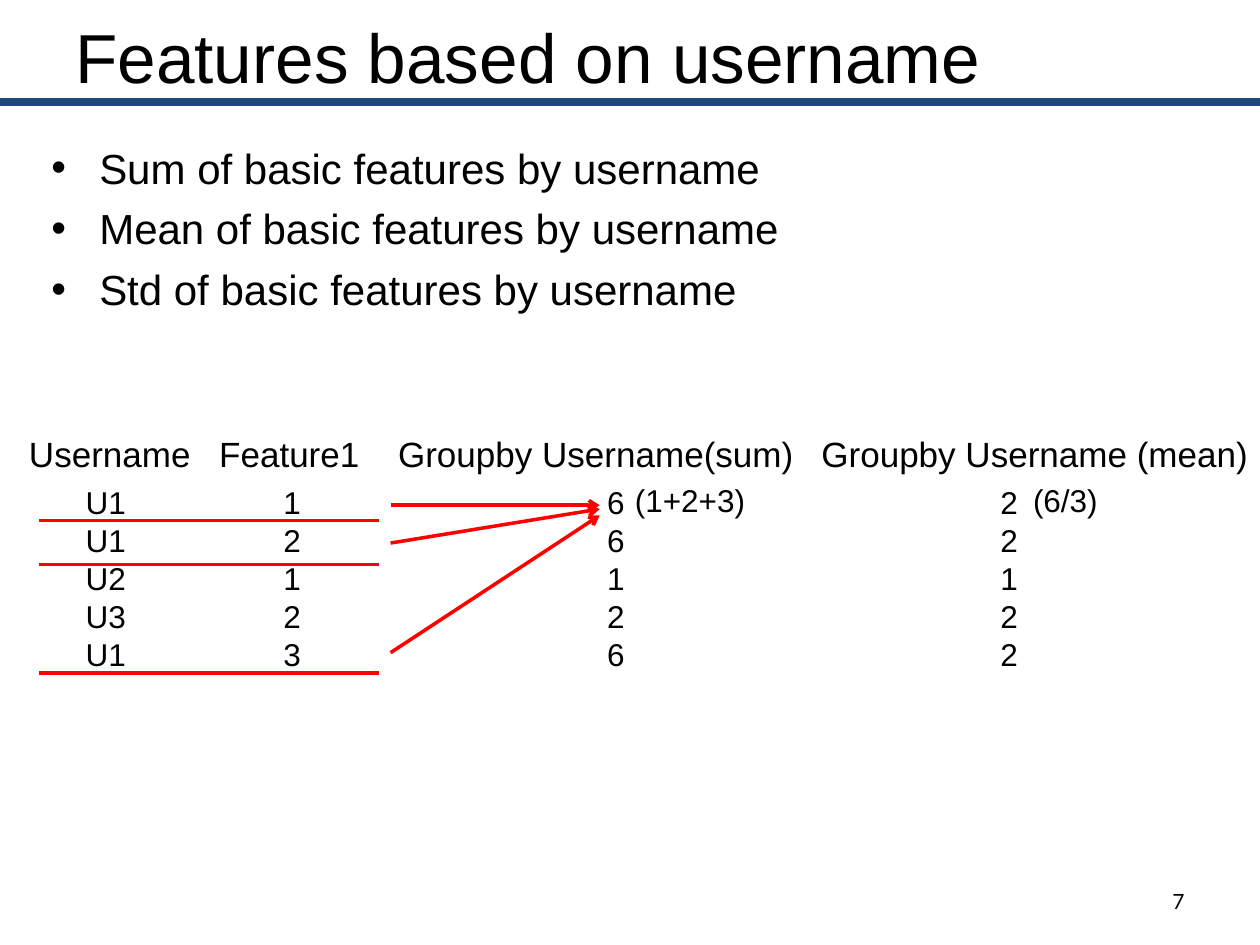
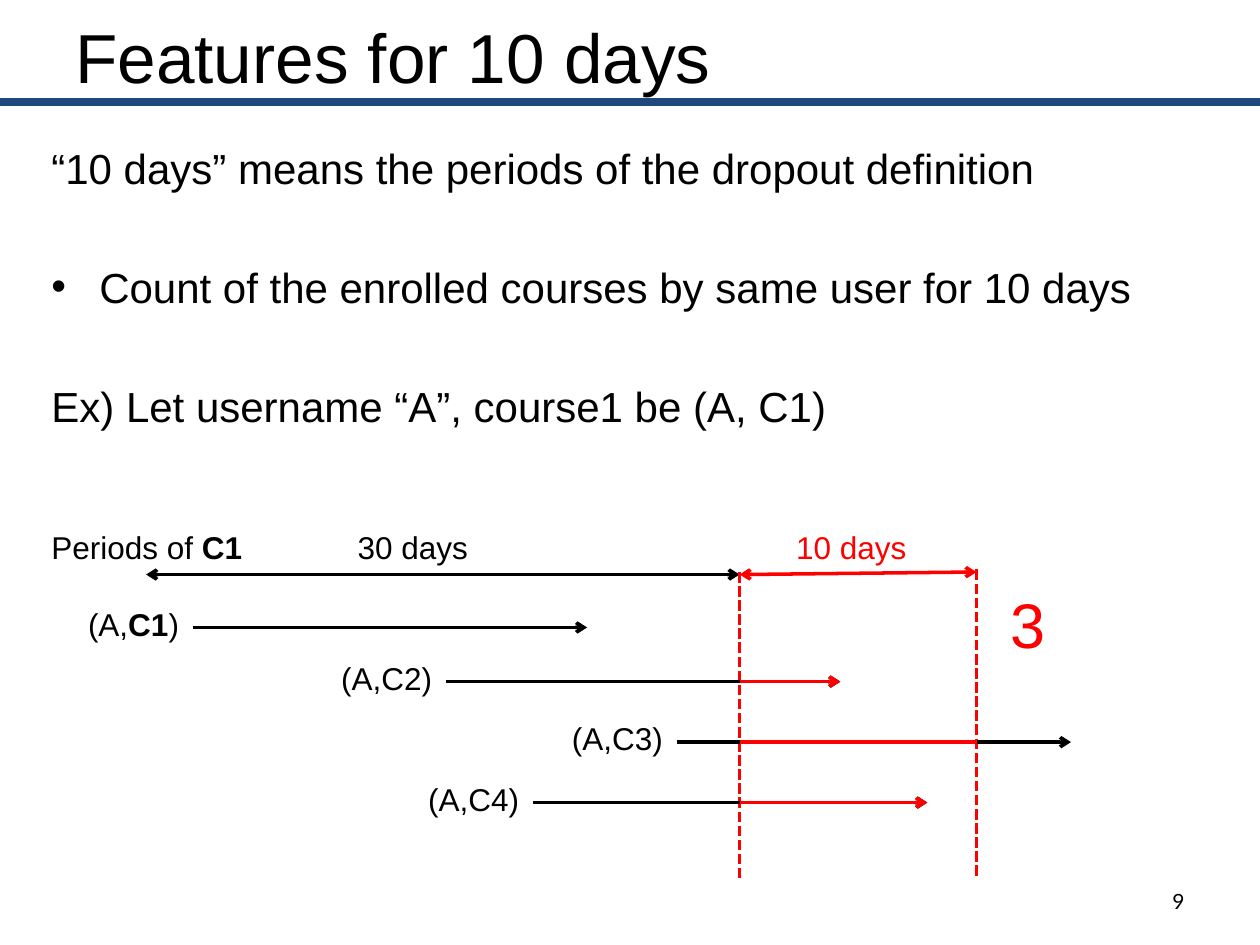
import pptx
import pptx.dml.color
import pptx.enum.dml
import pptx.enum.shapes
import pptx.enum.text
import pptx.oxml
import pptx.oxml.ns
import pptx.util
from pptx.util import Inches

BLACK, RED, NAVY, WHITE = "000000", "FF0000", "1F497D", "FFFFFF"
TITLE = {"size": 39.6}
BODY = {"size": 24}
HEADER = {"size": 20}
LABEL = {"size": 18}
RED_LABEL = {"size": 18, "color": RED}
RESULT = {"size": 36, "color": RED}
PAGE_NUMBER = {"size": 12, "name": "Lato"}
LABEL_HEIGHT = 0.4
BULLET_INDENT = 0.38


def rgb(color):
    return pptx.dml.color.RGBColor.from_string(color)


def format_font(font, style, bold=False):
    values = {"name": "Arial", "color": BLACK, "bold": bold, **style}
    font.color.rgb = rgb(values.pop("color"))
    values["size"] = pptx.util.Pt(values["size"])
    for attribute, value in values.items():
        setattr(font, attribute, value)


def add_child(parent, tag, **attributes):
    element = pptx.oxml.parse_xml(f"<{tag} {pptx.oxml.ns.nsdecls('a')}/>")
    for name, value in attributes.items():
        element.set(name, str(value))
    parent.append(element)


def write_runs(paragraph, runs, style):
    for text, bold in runs:
        run = paragraph.add_run()
        run.text = text
        format_font(run.font, style, bold)


def add_text(slide, position, runs, style, wrap=False, middle=False, right=False):
    box = slide.shapes.add_textbox(*map(Inches, position))
    frame = box.text_frame
    frame.word_wrap = wrap
    if middle:
        frame.vertical_anchor = pptx.enum.text.MSO_ANCHOR.MIDDLE
    paragraph = frame.paragraphs[0]
    if right:
        paragraph.alignment = pptx.enum.text.PP_ALIGN.RIGHT
    if isinstance(runs, str):
        runs = [(runs, False)]
    write_runs(paragraph, runs, style)
    return frame


def add_body(slide, lines, gap):
    frame = add_text(slide, (0.31, 1.08, 9.4, 5.88), [], BODY, wrap=True)
    for index, (text, bulleted) in enumerate(lines):
        paragraph = frame.add_paragraph() if index else frame.paragraphs[0]
        if bulleted:
            properties = paragraph._p.get_or_add_pPr()
            properties.set("marL", str(Inches(BULLET_INDENT)))
            properties.set("indent", str(-Inches(BULLET_INDENT)))
            add_child(properties, "a:buFont", typeface="Arial")
            add_child(properties, "a:buChar", char="•")
        if index:
            paragraph.space_before = pptx.util.Pt(gap)
        write_runs(paragraph, [(text, False)], BODY)


def add_line(slide, start, end, color, width=2, head=False, tail=False, dashed=False):
    connector = slide.shapes.add_connector(
        pptx.enum.shapes.MSO_CONNECTOR.STRAIGHT, *map(Inches, (*start, *end))
    )
    line = connector.line
    line.color.rgb = rgb(color)
    line.width = pptx.util.Pt(width)
    if dashed:
        line.dash_style = pptx.enum.dml.MSO_LINE.SQUARE_DOT
    for tag, wanted in (("a:headEnd", head), ("a:tailEnd", tail)):
        if wanted:
            add_child(line._get_or_add_ln(), tag, type="arrow")
    add_child(connector._element.spPr, "a:effectLst")


def add_feature_table(slide, left, top, columns, header_height, row_height):
    row_count = len(columns[0][3])
    height = header_height + row_count * row_height
    width = sum(column[1] for column in columns)
    table = slide.shapes.add_table(
        row_count + 1, len(columns), *map(Inches, (left, top, width, height))
    ).table
    table.first_row = table.horz_banding = False
    for index, row in enumerate(table.rows):
        row.height = Inches(row_height if index else header_height)
    for column_index, (heading, column_width, indent, values) in enumerate(columns):
        table.columns[column_index].width = Inches(column_width)
        for row_index, text in enumerate([heading, *values]):
            cell = table.cell(row_index, column_index)
            cell.fill.solid()
            cell.fill.fore_color.rgb = rgb(WHITE)
            cell.margin_left = Inches(indent if row_index else 0)
            cell.margin_right = cell.margin_top = cell.margin_bottom = 0
            style = LABEL if row_index else HEADER
            write_runs(cell.text_frame.paragraphs[0], [(text, False)], style)


def add_base_slide(presentation, title, number):
    slide = presentation.slides.add_slide(presentation.slide_layouts[6])
    add_line(slide, (0, 0.81), (10, 0.81), NAVY, width=4.5)
    add_text(slide, (0.5, 0.16, 9, 0.56), title, TITLE, wrap=True, middle=True)
    add_text(slide, (7.17, 6.95, 2.33, 0.4), number, PAGE_NUMBER,
             wrap=True, middle=True, right=True)
    return slide


def build_username_slide(presentation):
    slide = add_base_slide(presentation, "Features based on username", "7")
    statistics = ("Sum", "Mean", "Std")
    add_body(slide, [(f"{name} of basic features by username", True)
                     for name in statistics], gap=5.8)
    columns = [
        ("Username", 1.51, 0.45, ["U1", "U1", "U2", "U3", "U1"]),
        ("Feature1", 1.42, 0.51, ["1", "2", "1", "2", "3"]),
        ("Groupby Username(sum)", 3.36, 1.66, ["6", "6", "1", "2", "6"]),
        ("Groupby Username (mean)", 3.46, 1.42, ["2", "2", "1", "2", "2"]),
    ]
    add_feature_table(slide, 0.23, 3.46, columns, header_height=0.4, row_height=0.3)
    add_text(slide, (4.94, 3.77, 1.09, LABEL_HEIGHT), "(1+2+3)", LABEL)
    add_text(slide, (8.1, 3.77, 0.72, LABEL_HEIGHT), "(6/3)", LABEL)
    for underline in (4.13, 4.48, 5.34):
        add_line(slide, (0.31, underline), (3.01, underline), RED)
    for start, end in ((4.01, 4.01), (4.31, 4.04), (5.18, 4.09)):
        add_line(slide, (3.1, start), (4.76, end), RED, tail=True)


def build_days_slide(presentation):
    slide = add_base_slide(presentation, "Features for 10 days", "9")
    add_body(slide, [
        ("“10 days” means the periods of the dropout definition", False),
        ("Count of the enrolled courses by same user for 10 days", True),
        ("Ex) Let username “A”, course1 be (A, C1)", False),
    ], gap=39.2)

    course_start, window_start, window_end = 1.16, 5.87, 7.75
    period_top, course_length = 4.56, 3.13
    add_text(slide, (0.31, 4.14, 1.73, LABEL_HEIGHT),
             [("Periods of ", False), ("C1", True)], LABEL)
    add_text(slide, (2.74, 4.14, 1.09, LABEL_HEIGHT), "30 days", LABEL)
    add_text(slide, (6.22, 4.14, 1.09, LABEL_HEIGHT), "10 days", RED_LABEL)
    add_line(slide, (course_start, period_top), (window_start, period_top), BLACK,
             head=True, tail=True)
    add_line(slide, (window_start, period_top), (window_end, 4.54), RED,
             head=True, tail=True)
    for edge, top in ((window_start, 4.54), (window_end, 4.52)):
        add_line(slide, (edge, top), (edge, top + 2.43), RED, dashed=True)

    courses = [("C1", 1.53, 4.98), ("C2", 3.54, 5.41),
               ("C3", 5.37, 5.89), ("C4", 4.23, 6.37)]
    for course, start, top in courses:
        end = start + course_length
        label = [("(A,", False), (course, course == "C1"), (")", False)]
        add_text(slide, (start - 0.93, top - 0.23, 0.95, LABEL_HEIGHT), label, LABEL)
        add_line(slide, (start, top), (end, top), BLACK, tail=True)
        if end > window_start:
            add_line(slide, (window_start, top), (min(end, window_end), top), RED,
                     tail=end <= window_end)
    add_text(slide, (7.92, 4.6, 0.48, 0.71), "3", RESULT)


def main():
    presentation = pptx.Presentation()
    presentation.slide_width = Inches(10)
    presentation.slide_height = Inches(7.5)
    build_username_slide(presentation)
    build_days_slide(presentation)
    presentation.save("out.pptx")


if __name__ == "__main__":
    main()
